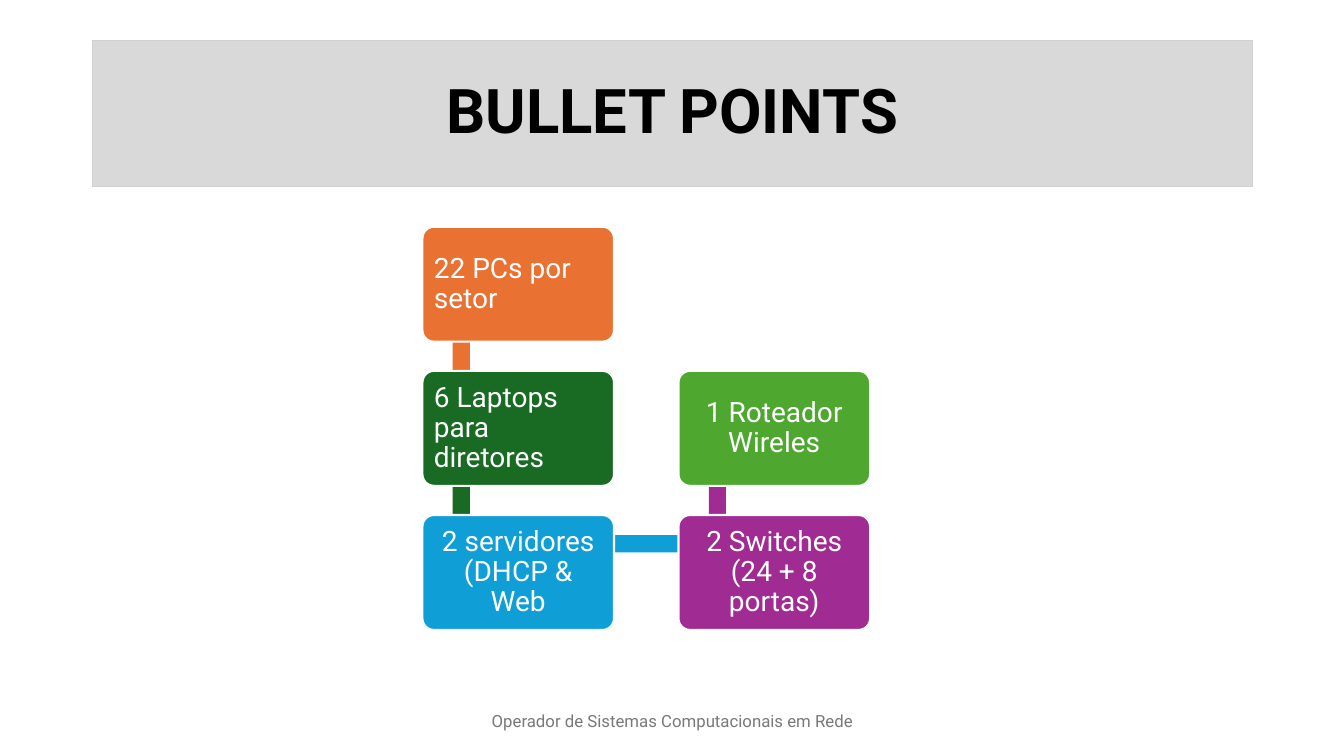
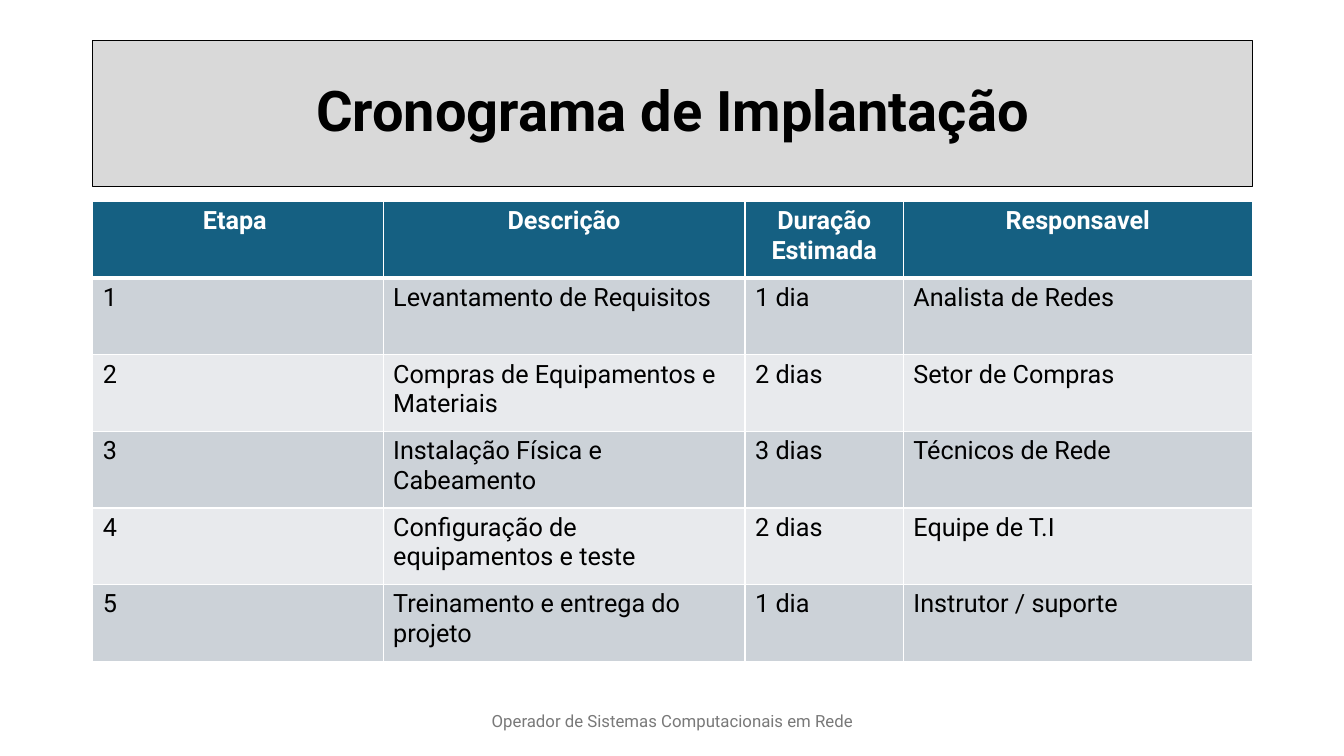
import pptx
import pptx.dml.color
import pptx.enum.shapes
import pptx.enum.text
import pptx.oxml.ns
import pptx.util
from lxml import etree

Inches = pptx.util.Inches
Pt = pptx.util.Pt
RGBColor = pptx.dml.color.RGBColor
Shape = pptx.enum.shapes.MSO_SHAPE
Align = pptx.enum.text.PP_ALIGN
Anchor = pptx.enum.text.MSO_ANCHOR

# Colours
BLACK = RGBColor(0x00, 0x00, 0x00)
WHITE = RGBColor(0xFF, 0xFF, 0xFF)
BAND_GREY = RGBColor(0xD9, 0xD9, 0xD9)
BAND_EDGE = RGBColor(0xD1, 0xD1, 0xD1)
FOOTER_GREY = RGBColor(0x79, 0x79, 0x79)
HEADER_BLUE = RGBColor(0x15, 0x60, 0x82)
ROW_DARK = RGBColor(0xCC, 0xD2, 0xD8)
ROW_LIGHT = RGBColor(0xE8, 0xEA, 0xED)
ORANGE = RGBColor(0xE9, 0x71, 0x32)
DARK_GREEN = RGBColor(0x19, 0x6B, 0x24)
BLUE = RGBColor(0x0F, 0x9E, 0xD5)
PURPLE = RGBColor(0xA0, 0x2B, 0x93)
GREEN = RGBColor(0x4E, 0xA7, 0x2E)

FONT = "Roboto"
FOOTER = "Operador de Sistemas Computacionais em Rede"
MARGIN, CONTENT_WIDTH = 0.92, 11.5

# Grid of the equipment boxes
BOX_LEFT, BOX_TOP = 4.19, 2.25
BOX_WIDTH, BOX_HEIGHT = 1.9, 1.14
COLUMN_STEP, ROW_STEP = 2.54, 1.43
LINK_THICKNESS, LINK_INSET_X, LINK_INSET_Y = 0.17, 0.3, 0.2


class Deck:
    """Holds the shared style and the slide being built."""

    def __init__(self):
        self.presentation = pptx.Presentation()
        self.presentation.slide_width = Inches(13.33)
        self.presentation.slide_height = Inches(7.5)
        self.slide = None

    def new_slide(self, title, size, edge):
        layout = self.presentation.slide_layouts[6]
        self.slide = self.presentation.slides.add_slide(layout)
        band = self.shape(Shape.RECTANGLE, MARGIN, 0.4, CONTENT_WIDTH, 1.45,
                          BAND_GREY, edge, 0.75)
        self.add_text(band.text_frame, title, size, BLACK, bold=True, spacing=0.9)
        footer = self.slide.shapes.add_textbox(
            Inches(4.42), Inches(6.95), Inches(4.5), Inches(0.4))
        self.add_text(footer.text_frame, FOOTER, 12, FOOTER_GREY)

    def add_text(self, frame, text, size, color, align=Align.CENTER, bold=False,
                 spacing=1.0, anchor=Anchor.MIDDLE):
        frame.word_wrap = True
        frame.vertical_anchor = anchor
        paragraph = frame.paragraphs[0]
        paragraph.alignment = align
        paragraph.line_spacing = spacing
        run = paragraph.add_run()
        run.text = text
        run.font.name = FONT
        run.font.size = Pt(size)
        run.font.bold = bold
        run.font.color.rgb = color

    def shape(self, kind, left, top, width, height, fill, edge=None, weight=0):
        shape = self.slide.shapes.add_shape(
            kind, Inches(left), Inches(top), Inches(width), Inches(height))
        shape.shadow.inherit = False
        shape.fill.solid()
        shape.fill.fore_color.rgb = fill
        if edge is None:
            shape.line.fill.background()
        else:
            shape.line.color.rgb = edge
            shape.line.width = Pt(weight)
        return shape

    def link(self, column, row, color, horizontal=False):
        """Bar from one grid cell to the next one, right or down."""
        left = BOX_LEFT + column * COLUMN_STEP + LINK_INSET_X
        top = BOX_TOP + row * ROW_STEP + LINK_INSET_Y
        width, height = LINK_THICKNESS, ROW_STEP
        if horizontal:
            width, height = COLUMN_STEP, LINK_THICKNESS
        self.shape(Shape.RECTANGLE, left, top, width, height, color)

    def box(self, column, row, text, color, align):
        box = self.shape(Shape.ROUNDED_RECTANGLE,
                         BOX_LEFT + column * COLUMN_STEP,
                         BOX_TOP + row * ROW_STEP,
                         BOX_WIDTH, BOX_HEIGHT, color, WHITE, 1.5)
        box.adjustments[0] = 0.1
        frame = box.text_frame
        frame.margin_left = frame.margin_right = Inches(0.08)
        frame.margin_top = frame.margin_bottom = Inches(0.08)
        self.add_text(frame, text, 20, WHITE, align, spacing=0.9)

    def cell_borders(self, cell, top, bottom):
        properties = cell._tc.get_or_add_tcPr()
        for side, weight in (("L", 1), ("R", 1), ("T", top), ("B", bottom)):
            line = etree.SubElement(
                properties, pptx.oxml.ns.qn(f"a:ln{side}"), w=str(Pt(weight)))
            fill = etree.SubElement(line, pptx.oxml.ns.qn("a:solidFill"))
            etree.SubElement(fill, pptx.oxml.ns.qn("a:srgbClr"), val=str(WHITE))

    def table(self, top, widths, row_height, rows):
        table = self.slide.shapes.add_table(
            len(rows), len(widths), Inches(MARGIN), Inches(top),
            Inches(CONTENT_WIDTH), Inches(row_height * len(rows))).table
        for column, width in zip(table.columns, widths):
            column.width = Inches(width)
        for number, texts in enumerate(rows):
            header = number == 0
            table.rows[number].height = Inches(row_height)
            for index, text in enumerate(texts):
                cell = table.cell(number, index)
                self.cell_borders(cell, 3 if number == 1 else 1,
                                  3 if header else 1)
                cell.fill.solid()
                if header:
                    cell.fill.fore_color.rgb = HEADER_BLUE
                else:
                    cell.fill.fore_color.rgb = ROW_DARK if number % 2 else ROW_LIGHT
                self.add_text(cell.text_frame, text, 18,
                              WHITE if header else BLACK,
                              Align.CENTER if header else Align.LEFT,
                              bold=header, anchor=Anchor.TOP)


def main():
    deck = Deck()

    # Equipment list
    deck.new_slide("BULLET POINTS", 44, BAND_EDGE)
    deck.link(0, 0, ORANGE)
    deck.link(0, 1, DARK_GREEN)
    deck.link(0, 2, BLUE, horizontal=True)
    deck.link(1, 1, PURPLE)
    for column, row, text, color, align in (
            (0, 0, "22 PCs por setor", ORANGE, Align.LEFT),
            (0, 1, "6 Laptops para diretores", DARK_GREEN, Align.LEFT),
            (0, 2, "2 servidores (DHCP & Web", BLUE, Align.CENTER),
            (1, 2, "2 Switches (24 + 8 portas)", PURPLE, Align.CENTER),
            (1, 1, "1 Roteador Wireles", GREEN, Align.CENTER)):
        deck.box(column, row, text, color, align)

    # Schedule
    deck.new_slide("Cronograma de Implantação", 40, BLACK)
    deck.table(2, (2.88, 3.59, 1.57, 3.46), 0.76, (
        ("Etapa ", "Descrição", "Duração Estimada", "Responsavel"),
        ("1", "Levantamento de Requisitos", "1 dia", "Analista de Redes"),
        ("2", "Compras de Equipamentos e Materiais", "2 dias", "Setor de Compras"),
        ("3", "Instalação Física e Cabeamento", "3 dias", "Técnicos de Rede"),
        ("4", "Configuração de equipamentos e teste", "2 dias", "Equipe de T.I"),
        ("5", "Treinamento e entrega do projeto", "1 dia", "Instrutor / suporte")))

    deck.presentation.save("out.pptx")


if __name__ == "__main__":
    main()
